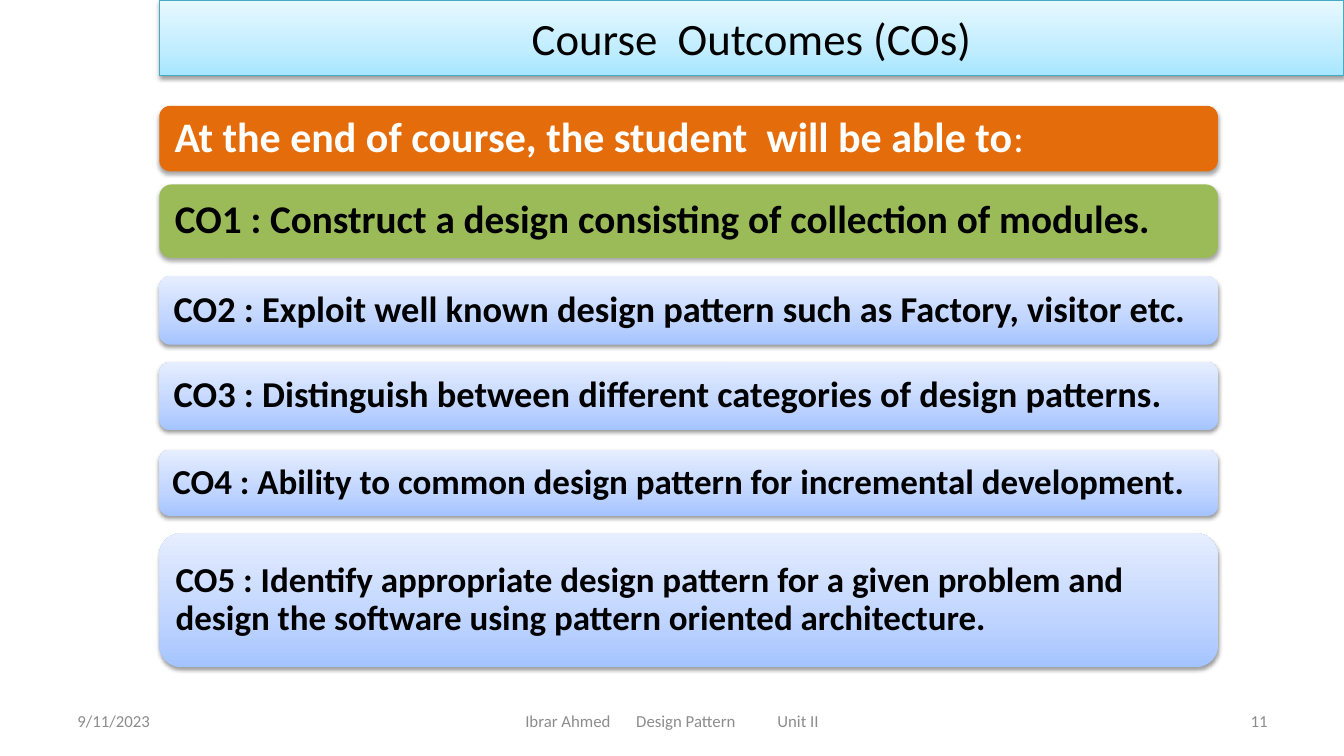
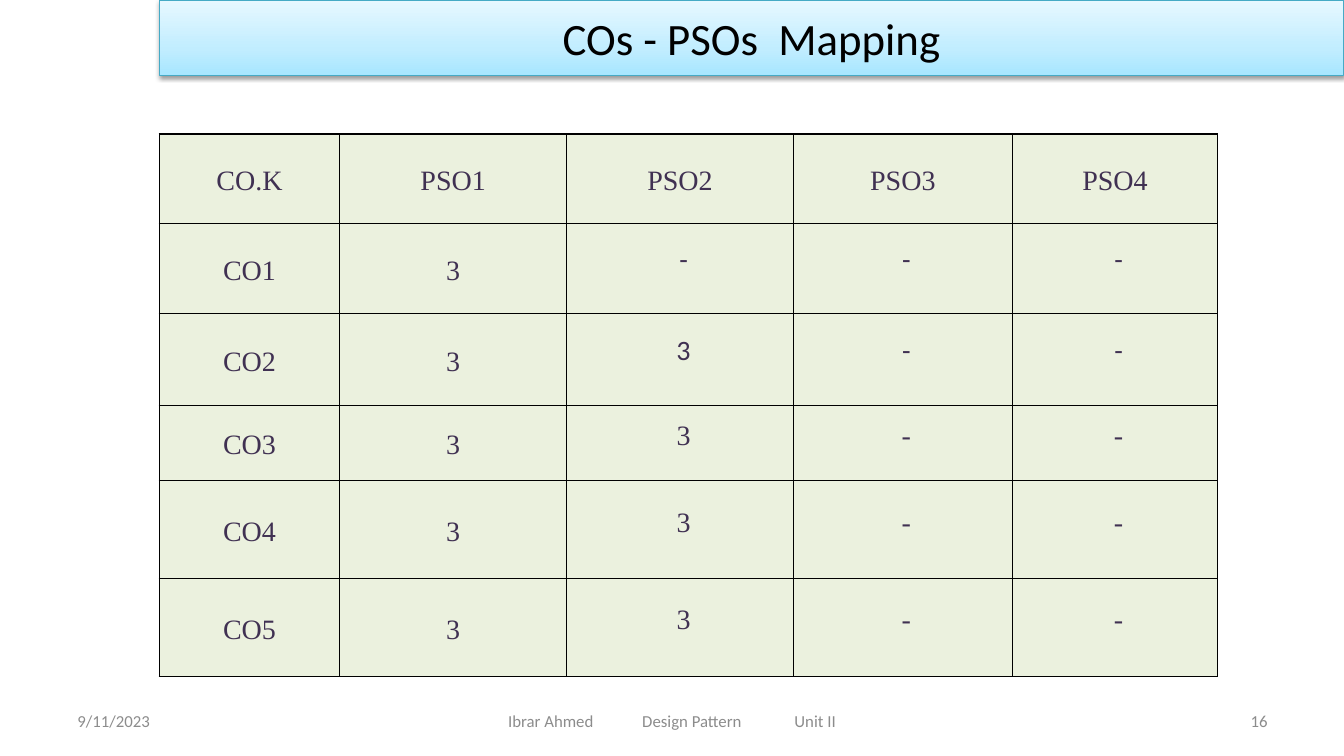
from lxml import etree
from pptx import Presentation
from pptx import util as u
from pptx.dml.color import RGBColor
from pptx.enum import shapes, text
from pptx.oxml import ns

Inches = u.Inches
BLACK = RGBColor(0x00, 0x00, 0x00)
WHITE = RGBColor(0xFF, 0xFF, 0xFF)
GREY = RGBColor(0x8C, 0x8C, 0x8C)
TEAL = RGBColor(0x46, 0xAA, 0xC5)
ORANGE = RGBColor(0xE4, 0x6C, 0x0A)
GREEN = RGBColor(0x9B, 0xBB, 0x59)
PURPLE = RGBColor(0x40, 0x31, 0x52)
PALE = RGBColor(0xEB, 0xF1, 0xDE)
# Gradients run from the bottom edge to the top edge
SKY = [RGBColor(0xA7, 0xE6, 0xFF), RGBColor(0xC1, 0xED, 0xFF), RGBColor(0xE7, 0xF8, 0xFF)]
BLUE = [RGBColor(0xA4, 0xC4, 0xFF), RGBColor(0xBF, 0xD4, 0xFF), RGBColor(0xE6, 0xEE, 0xFF)]
STOPS = [0, 35, 100]

SANS, SERIF = "Calibri", "Times New Roman"
LEFT, WIDTH = 1.58, 10.5
MID, RIGHT = text.PP_ALIGN.CENTER, text.PP_ALIGN.RIGHT

# Top, height, inset, size, fill, text colour, wording
BARS = [
    (1.05, 0.65, 0.12, 30, ORANGE, WHITE,
     "At the end of course, the student  will be able to"),
    (1.83, 0.73, 0.12, 28, GREEN, BLACK,
     "CO1 : Construct a design consisting of collection of modules."),
    (2.74, 0.68, 0.11, 26, BLUE, BLACK,
     "CO2 : Exploit well known design pattern such as Factory, visitor etc."),
    (3.59, 0.68, 0.11, 26, BLUE, BLACK,
     "CO3 : Distinguish between different categories of design patterns."),
    (4.46, 0.66, 0.1, 25, BLUE, BLACK,
     "CO4 : Ability to common design pattern for incremental development."),
    (5.29, 1.33, 0.1, 25, BLUE, BLACK,
     "CO5 : Identify appropriate design pattern for a given problem and "
     "design the software using pattern oriented architecture."),
]

COLS = [1.79, 2.25, 2.25, 2.17, 2.04]
ROWS = [0.89, 0.89, 0.91, 0.75, 0.97, 0.97]
CELLS = [
    ["CO.K", "PSO1", "PSO2", "PSO3", "PSO4"],
    ["CO1", "3", "-", "-", "-"],
    ["CO2", "3", "3", "-", "-"],
    ["CO3", "3", "3", "-", "-"],
    ["CO4", "3", "3", "-", "-"],
    ["CO5", "3", "3", "-", "-"],
]


def sub(node, tag, **attrs):
    return etree.SubElement(node, ns.qn("a:" + tag), {k: str(v) for k, v in attrs.items()})


def style(para, size, color, font=SANS, bold=False):
    for run in para.runs:
        run.font.size = u.Pt(size)
        run.font.name = font
        run.font.bold = bold
        run.font.color.rgb = color


# Fill and shadow
def shade(shape, colors):
    shape.fill.gradient()
    shape.fill.gradient_angle = 90
    stops = shape._element.spPr.find(".//" + ns.qn("a:gsLst"))
    for old in list(stops):
        stops.remove(old)
    for pos, color in zip(STOPS, colors):
        sub(sub(stops, "gs", pos=pos * 1000), "srgbClr", val=color)


def panel(slide, kind, box, fill):
    shape = slide.shapes.add_shape(kind, *map(Inches, box))
    soft = isinstance(fill, list)
    if soft:
        shade(shape, fill)
    else:
        shape.fill.solid()
        shape.fill.fore_color.rgb = fill
    shape.line.fill.background()
    shape.shadow.inherit = False
    effect = shape._element.spPr.find(ns.qn("a:effectLst"))
    cast = sub(effect, "outerShdw", blurRad=u.Pt(3.1), dist=u.Pt(1.6 if soft else 1.8),
               dir=5400000, rotWithShape=0)
    sub(sub(cast, "srgbClr", val=BLACK), "alpha", val=38000 if soft else 35000)
    shape.text_frame.word_wrap = True
    shape.text_frame.vertical_anchor = text.MSO_ANCHOR.MIDDLE
    return shape


# Parts that every slide has
def title(slide, words):
    band = panel(slide, shapes.MSO_SHAPE.RECTANGLE, (LEFT, 0, 11.75, 0.75), SKY)
    band.line.color.rgb = TEAL
    band.line.width = u.Pt(0.75)
    band.text_frame.text = words
    para = band.text_frame.paragraphs[0]
    para.alignment = MID
    style(para, 32, BLACK)


def note(slide, left, width, words, align=None, inset=0.1, tabs=()):
    box = slide.shapes.add_textbox(Inches(left), Inches(6.95), Inches(width), Inches(0.4))
    frame = box.text_frame
    frame.word_wrap = True
    frame.vertical_anchor = text.MSO_ANCHOR.MIDDLE
    frame.margin_left = Inches(inset)
    frame.text = words
    para = frame.paragraphs[0]
    para.alignment = align
    if tabs:
        stops = sub(para._p.get_or_add_pPr(), "tabLst")
        for tab in tabs:
            sub(stops, "tab", pos=Inches(tab), algn="l")
    style(para, 12, GREY)


def footer(slide, number, inset, tabs):
    note(slide, 0.67, 3.11, "9/11/2023")
    note(slide, 4.56, 4.22, "Ibrar Ahmed\tDesign Pattern\tUnit II", inset=inset, tabs=tabs)
    note(slide, 9.56, 3.11, number, RIGHT)


# Outcome bars
def bar(slide, top, height, inset, size, fill, color, words):
    shape = panel(slide, shapes.MSO_SHAPE.ROUNDED_RECTANGLE, (LEFT, top, WIDTH, height), fill)
    frame = shape.text_frame
    frame.margin_left = frame.margin_right = Inches(inset)
    frame.margin_top = frame.margin_bottom = Inches(inset)
    frame.text = words
    para = frame.paragraphs[0]
    para.alignment = text.PP_ALIGN.LEFT
    para.line_spacing = 0.9
    style(para, size, color, bold=True)
    return para


# Mapping table
def fill_cell(cell, words, mark, font):
    cell.margin_left = cell.margin_right = Inches(0.07)
    cell.margin_top = cell.margin_bottom = 0
    cell.vertical_anchor = text.MSO_ANCHOR.MIDDLE
    for side in "LRTB":
        edge = sub(cell._tc.get_or_add_tcPr(), "ln" + side, w=u.Pt(1))
        sub(sub(edge, "solidFill"), "srgbClr", val=BLACK)
    cell.fill.solid()
    cell.fill.fore_color.rgb = PALE
    cell.text_frame.text = words
    para = cell.text_frame.paragraphs[0]
    para.alignment = MID
    para.line_spacing = u.Pt(12.3) if mark else 1.15
    if mark:
        para._p.get_or_add_pPr().set("marL", str(Inches(0.07)))
    style(para, 20, PURPLE, font)


def grid(slide):
    frame = slide.shapes.add_table(len(ROWS), len(COLS), Inches(LEFT), Inches(1.33),
                                   Inches(sum(COLS)), Inches(sum(ROWS)))
    table = frame.table
    table.first_row = table.horz_banding = False
    for col, width in zip(table.columns, COLS):
        col.width = Inches(width)
    for r, height in enumerate(ROWS):
        table.rows[r].height = Inches(height)
        for c, words in enumerate(CELLS[r]):
            mark = r > 0 and c > 1
            fill_cell(table.cell(r, c), words, mark, SANS if mark and r < 3 else SERIF)


def main():
    deck = Presentation()
    deck.slide_width, deck.slide_height = Inches(13.33), Inches(7.5)
    blank = deck.slide_layouts[6]

    # Course outcomes
    slide = deck.slides.add_slide(blank)
    footer(slide, "11", 0.65, (1.1, 2.5))
    title(slide, "Course  Outcomes (COs)")
    lead = [bar(slide, *row) for row in BARS][0]
    colon = lead.add_run()
    colon.text = ":"
    colon.font.size = u.Pt(28)
    colon.font.name = SANS
    colon.font.color.rgb = WHITE

    # Mapping
    slide = deck.slides.add_slide(blank)
    footer(slide, "16", 0.48, (1.33, 2.84))
    title(slide, "COs - PSOs  Mapping")
    grid(slide)

    deck.save("out.pptx")


if __name__ == "__main__":
    main()
